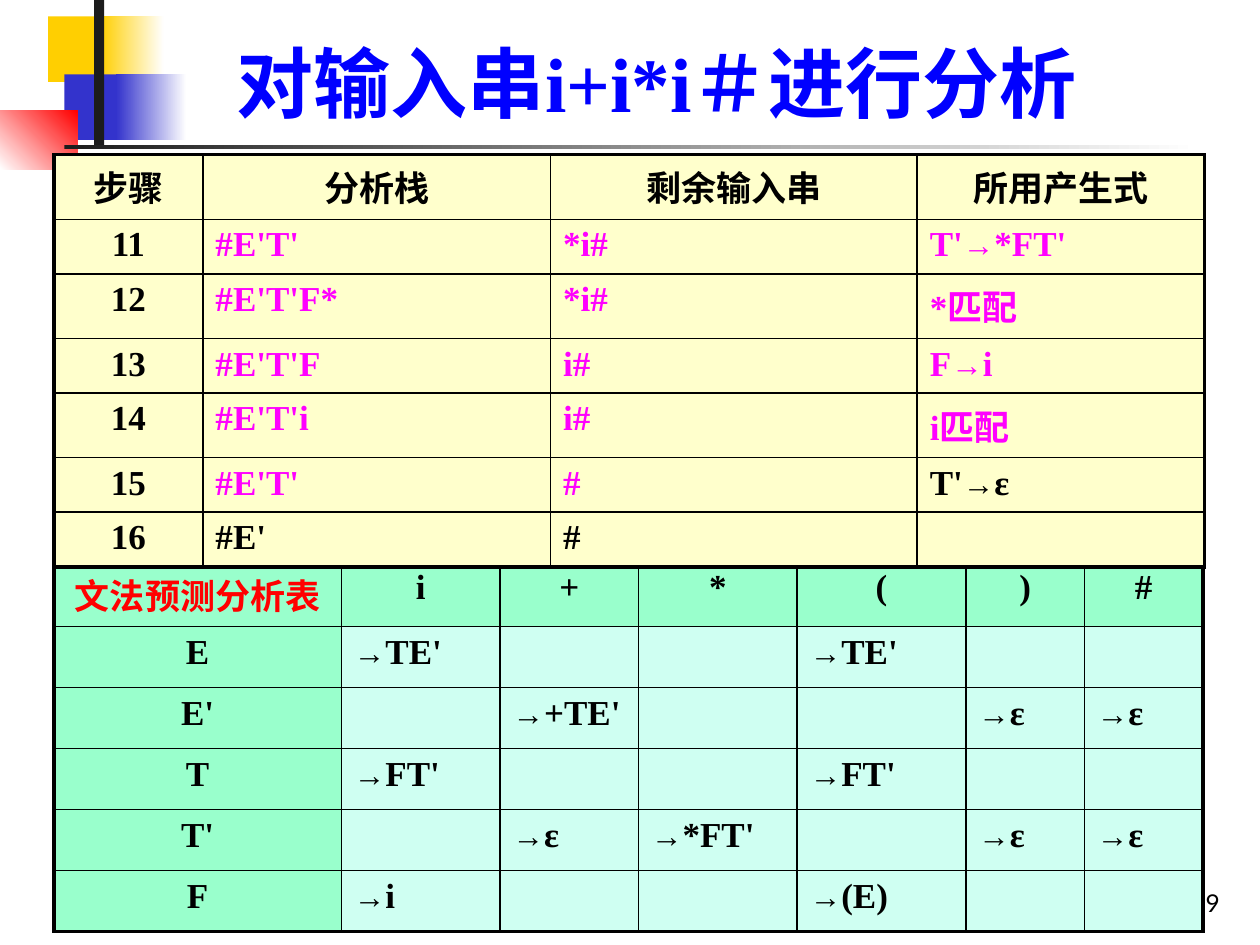
import pptx
import pptx.dml.color
import pptx.enum.shapes
import pptx.enum.text
import pptx.oxml
import pptx.oxml.ns
import pptx.util
from pptx.util import Cm, Pt

COLORS = {
    "black": "000000", "white": "FFFFFF", "title": "0000FF",
    "yellow": "FFCF01", "blue": "3333CC", "red": "FF0000", "dark": "1C1C1C",
    "trace": "FF00FF", "steps": "FFFFCC", "header": "99FFCC", "entry": "CFFFF2",
}
SERIF = "Times New Roman"
CENTER = pptx.enum.text.PP_ALIGN.CENTER
LEFT = pptx.enum.text.PP_ALIGN.LEFT
ARROW = "→"

STEPS = [
    ["步骤", "分析栈", "剩余输入串", "所用产生式"],
    ["11", "#E'T'", "*i#", "T'→*FT'"],
    ["12", "#E'T'F*", "*i#", "*匹配"],
    ["13", "#E'T'F", "i#", "F→i"],
    ["14", "#E'T'i", "i#", "i匹配"],
    ["15", "#E'T'", "#", "T'→ε"],
    ["16", "#E'", "#", ""],
]
PREDICTIONS = [
    ["文法预测分析表", "i", "+", "*", "(", ")", "#"],
    ["E", "→TE'", "", "", "→TE'", "", ""],
    ["E'", "", "→+TE'", "", "", "→ε", "→ε"],
    ["T", "→FT'", "", "", "→FT'", "", ""],
    ["T'", "", "→ε", "→*FT'", "", "→ε", "→ε"],
    ["F", "→i", "", "", "→(E)", "", ""],
]


def rgb(name):
    return pptx.dml.color.RGBColor.from_string(COLORS[name])


def set_font(paragraph, face, size, color, bold):
    font = paragraph.font
    font.name, font.size, font.bold = face, Pt(size), bold
    font.color.rgb = rgb(color)


def add_block(slide, box, start, end=None, angle=0):
    """Borderless rectangle, solid or fading from start to end."""
    block = slide.shapes.add_shape(
        pptx.enum.shapes.MSO_SHAPE.RECTANGLE, *(Cm(length) for length in box))
    block.shadow.inherit = False
    block.line.fill.background()
    if end is None:
        block.fill.solid()
        block.fill.fore_color.rgb = rgb(start)
        return
    block.fill.gradient()
    block.fill.gradient_angle = angle
    for stop, color in zip(block.fill.gradient_stops, (start, end)):
        stop.color.rgb = rgb(color)


def add_corner_ornament(slide, left, top):
    def at(x, y, width, height):
        return left + x, top + y, width, height

    add_block(slide, at(0.97, 0.33, 1.7, 1.32), "yellow")
    add_block(slide, at(2.03, 0.33, 1.27, 1.32), "yellow", "white")
    add_block(slide, at(1.3, 1.5, 1.63, 1.32), "blue")
    add_block(slide, at(2.34, 1.5, 1.42, 1.32), "blue", "white")
    add_block(slide, at(0, 2.23, 1.56, 1.18), "white", "red", 45)
    add_block(slide, at(1.9, 0, 0.2, 2.92), "dark")
    add_block(slide, at(1.3, 2.92, 22.86, 0.08), "dark", "white")


def add_page_number(slide, left, top, width, height):
    frame = slide.shapes.add_textbox(
        Cm(left), Cm(top), Cm(width), Cm(height)).text_frame
    frame.word_wrap = True
    frame.vertical_anchor = pptx.enum.text.MSO_ANCHOR.BOTTOM
    number = frame.paragraphs[0]
    number.text = "59"
    number.alignment = pptx.enum.text.PP_ALIGN.RIGHT
    set_font(number, "Lato", 14, "black", False)


def format_title(title, left, top, width, height):
    title.left, title.top = Cm(left), Cm(top)
    title.width, title.height = Cm(width), Cm(height)
    frame = title.text_frame
    frame.auto_size = pptx.enum.text.MSO_AUTO_SIZE.NONE
    frame.vertical_anchor = pptx.enum.text.MSO_ANCHOR.BOTTOM
    heading = frame.paragraphs[0]
    heading.text = "对输入串i+i*i＃进行分析"
    heading.alignment = CENTER
    set_font(heading, SERIF, 44, "title", True)


def set_borders(cell, outer_sides):
    """Thin black lines, thicker on the sides at the table's edge."""
    properties = cell._tc.get_or_add_tcPr()
    for index, side in enumerate("LRTB"):
        weight = Pt(2.25 if side in outer_sides else 1)
        properties.insert(index, pptx.oxml.parse_xml(
            f'<a:ln{side} {pptx.oxml.ns.nsdecls("a")} w="{weight}"><a:solidFill>'
            f'<a:srgbClr val="{COLORS["black"]}"/></a:solidFill></a:ln{side}>'))


def write_cell(cell, text, color, alignment):
    """Arrows are set a little smaller than the symbols around them."""
    paragraph = cell.text_frame.paragraphs[0]
    paragraph.alignment = alignment
    set_font(paragraph, SERIF, 20, color, True)
    for part in text.partition(ARROW):
        if part:
            run = paragraph.add_run()
            run.text = part
            if part == ARROW:
                run.font.size = Pt(18)


def add_grid(slide, left, top, widths, heights, rows, style):
    """style(row, column, text) gives the fill and text colour of a cell."""
    grid = slide.shapes.add_table(
        len(rows), len(widths), Cm(left), Cm(top),
        Cm(sum(widths)), Cm(sum(heights))).table
    grid.first_row = grid.horz_banding = False
    for column, width in zip(grid.columns, widths):
        column.width = Cm(width)
    for row, height in zip(grid.rows, heights):
        row.height = Cm(height)
    last_row, last_column = len(rows) - 1, len(widths) - 1
    for r, texts in enumerate(rows):
        for c, text in enumerate(texts):
            cell = grid.cell(r, c)
            fill, color = style(r, c, text)
            cell.fill.solid()
            cell.fill.fore_color.rgb = rgb(fill)
            edges = {"L": c == 0, "R": c == last_column,
                     "T": r == 0, "B": r == last_row}
            set_borders(cell, [side for side in edges if edges[side]])
            write_cell(cell, text, color, LEFT if r and c else CENTER)


def add_prediction_table(slide, left, top):
    def style(row, column, text):
        if row and column:
            return "entry", "black"
        return "header", "black" if row or column else "red"

    add_grid(slide, left, top, [5.79, 3.2, 2.79, 3.2, 3.4, 2.39, 2.39],
             [1.3] + [1.23] * 5, PREDICTIONS, style)


def add_step_table(slide, left, top):
    def style(row, column, text):
        traced = 0 < row < len(STEPS) - 1 and column and text != "T'→ε"
        return "steps", "trace" if traced else "black"

    tall, short = 1.3, 1.04
    add_grid(slide, left, top, [3, 7.01, 7.39, 5.79],
             [tall, short, tall, short, tall, short, short], STEPS, style)


def main():
    deck = pptx.Presentation()
    deck.slide_width, deck.slide_height = Cm(25.4), Cm(19.05)
    slide = deck.slides.add_slide(deck.slide_layouts.get_by_name("Title Only"))
    add_corner_ornament(slide, 0, 0)
    add_page_number(slide, 19.56, 17.35, 5.28, 1.27)
    format_title(slide.shapes.title, 3.2, 0.58, 20.09, 2.13)
    add_prediction_table(slide, 1.09, 11.33)
    add_step_table(slide, 1.09, 3.12)
    deck.save("out.pptx")


if __name__ == "__main__":
    main()
